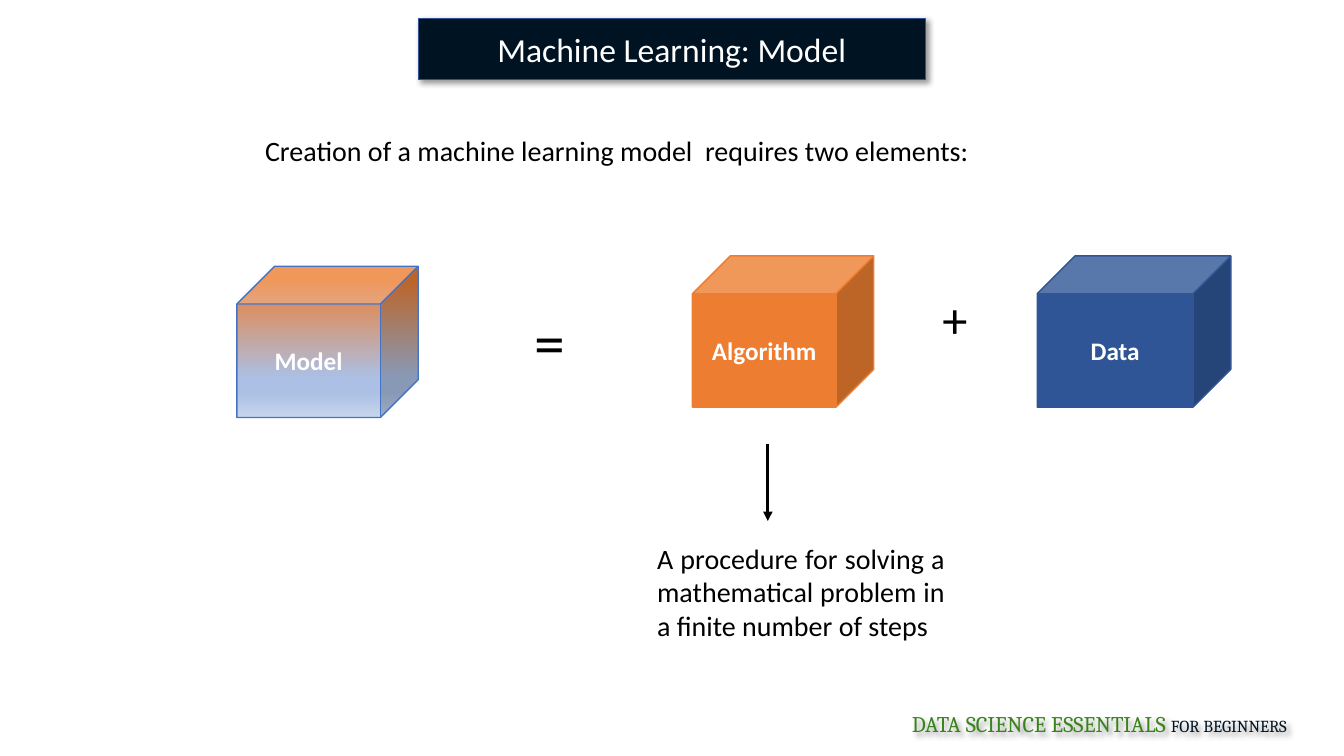
from lxml.etree import SubElement
from pptx import Presentation
from pptx.dml.color import RGBColor
from pptx.enum.shapes import MSO_CONNECTOR, MSO_SHAPE
from pptx.enum.text import MSO_ANCHOR, MSO_AUTO_SIZE, PP_ALIGN
from pptx.oxml import parse_xml
from pptx.oxml.ns import nsdecls, qn
from pptx.util import Cm, Pt

COLORS = {
    "black": "000000", "white": "FFFFFF", "navy": "001322", "green": "39831B",
    "orange": "ED7D31", "blue": "2F5597", "edge": "325491", "outline": "4472C4",
    "sky": "ABC0E4", "pale": "C7D5ED",
}
RGB = {name: RGBColor.from_string(value) for name, value in COLORS.items()}


def write(p, text, color, **fmt):
    r = p.add_run()
    r.text = text
    for key, value in {"name": "Calibri", **fmt}.items():
        setattr(r.font, key, value)
    r.font.color.rgb = RGB[color]


def add_shadow(sp):
    sp._element.spPr.append(parse_xml(
        f'<a:effectLst {nsdecls("a")}>'
        '<a:outerShdw blurRad="50800" dist="38100" dir="2700000" algn="tl" rotWithShape="0">'
        f'<a:srgbClr val="{COLORS["black"]}"><a:alpha val="40000"/></a:srgbClr>'
        '</a:outerShdw></a:effectLst>'))


prs = Presentation()
prs.slide_width, prs.slide_height = Cm(33.87), Cm(19.05)
s = prs.slides.add_slide(prs.slide_layouts[5])

title = s.shapes.title
box = {"left": 10.54, "top": 0.46, "width": 12.78, "height": 1.55}
for key, value in box.items():
    setattr(title, key, Cm(value))
title.fill.solid()
title.fill.fore_color.rgb = RGB["navy"]
title.line.color.rgb = RGB["edge"]
title.line.width = Pt(1)
add_shadow(title)
tf = title.text_frame
tf.auto_size = MSO_AUTO_SIZE.NONE
tf.vertical_anchor = MSO_ANCHOR.MIDDLE
p = tf.paragraphs[0]
p.alignment = PP_ALIGN.CENTER
write(p, "Machine Learning: Model", "white", size=Pt(24))

cubes = [
    ("Algorithm", 17.45, 6.45, 4.57, "orange", "orange"),
    ("Data", 26.14, 6.45, 4.88, "blue", "edge"),
    ("Model", 5.97, 6.71, 4.57, None, "outline"),
]
model_stops = [(8, "orange"), (74, "sky"), (83, "sky"), (100, "pale")]
for name, left, top, width, fill, line in cubes:
    sp = s.shapes.add_shape(MSO_SHAPE.CUBE, Cm(left), Cm(top), Cm(width), Cm(3.81))
    sp.shadow.inherit = False
    if fill:
        sp.fill.solid()
        sp.fill.fore_color.rgb = RGB[fill]
    else:
        sp.fill.gradient()
        sp.fill.gradient_angle = 270
        stops = sp._element.spPr.find(qn("a:gradFill")).find(qn("a:gsLst"))
        stops.clear()
        for pos, color in model_stops:
            stop = SubElement(stops, qn("a:gs"), pos=str(pos * 1000))
            SubElement(stop, qn("a:srgbClr"), val=COLORS[color])
    sp.line.color.rgb = RGB[line]
    sp.line.width = Pt(1)
    tf = sp.text_frame
    tf.vertical_anchor = MSO_ANCHOR.MIDDLE
    p = tf.paragraphs[0]
    p.alignment = PP_ALIGN.CENTER
    write(p, name, "white", size=Pt(18), bold=True)

texts = [
    ("Creation of a machine learning model  requires two elements:",
     6.43, 3.25, 23.06, 1.96, 20, PP_ALIGN.JUSTIFY),
    ("=", 13.21, 7.54, 1.27, 2.13, 44, PP_ALIGN.LEFT),
    ("+", 23.5, 7.14, 1.14, 1.8, 36, PP_ALIGN.LEFT),
    ("A procedure for solving a mathematical problem in a finite number of steps",
     16.31, 13.51, 7.75, 2.82, 20, PP_ALIGN.JUSTIFY),
]
for text, left, top, width, height, size, align in texts:
    tf = s.shapes.add_textbox(Cm(left), Cm(top), Cm(width), Cm(height)).text_frame
    tf.word_wrap = len(text) > 1
    p = tf.paragraphs[0]
    p.alignment = align
    write(p, text, "black", size=Pt(size))

arrow = s.shapes.add_connector(
    MSO_CONNECTOR.STRAIGHT, Cm(19.35), Cm(11.18), Cm(19.35), Cm(13.13))
arrow.line.color.rgb = RGB["black"]
arrow.line.width = Pt(2.25)
SubElement(arrow.line._get_or_add_ln(), qn("a:tailEnd"), type="triangle")
SubElement(arrow._element.spPr, qn("a:effectLst"))

footer = s.shapes.add_textbox(Cm(22.73), Cm(17.78), Cm(11.13), Cm(0.94))
add_shadow(footer)
tf = footer.text_frame
tf.word_wrap = True
p = tf.paragraphs[0]
write(p, "DATA SCIENCE ESSENTIALS ", "green", name="Cambria", size=Pt(16))
write(p, "FOR BEGINNERS", "navy", name="Cambria", size=Pt(12))

prs.save("out.pptx")
